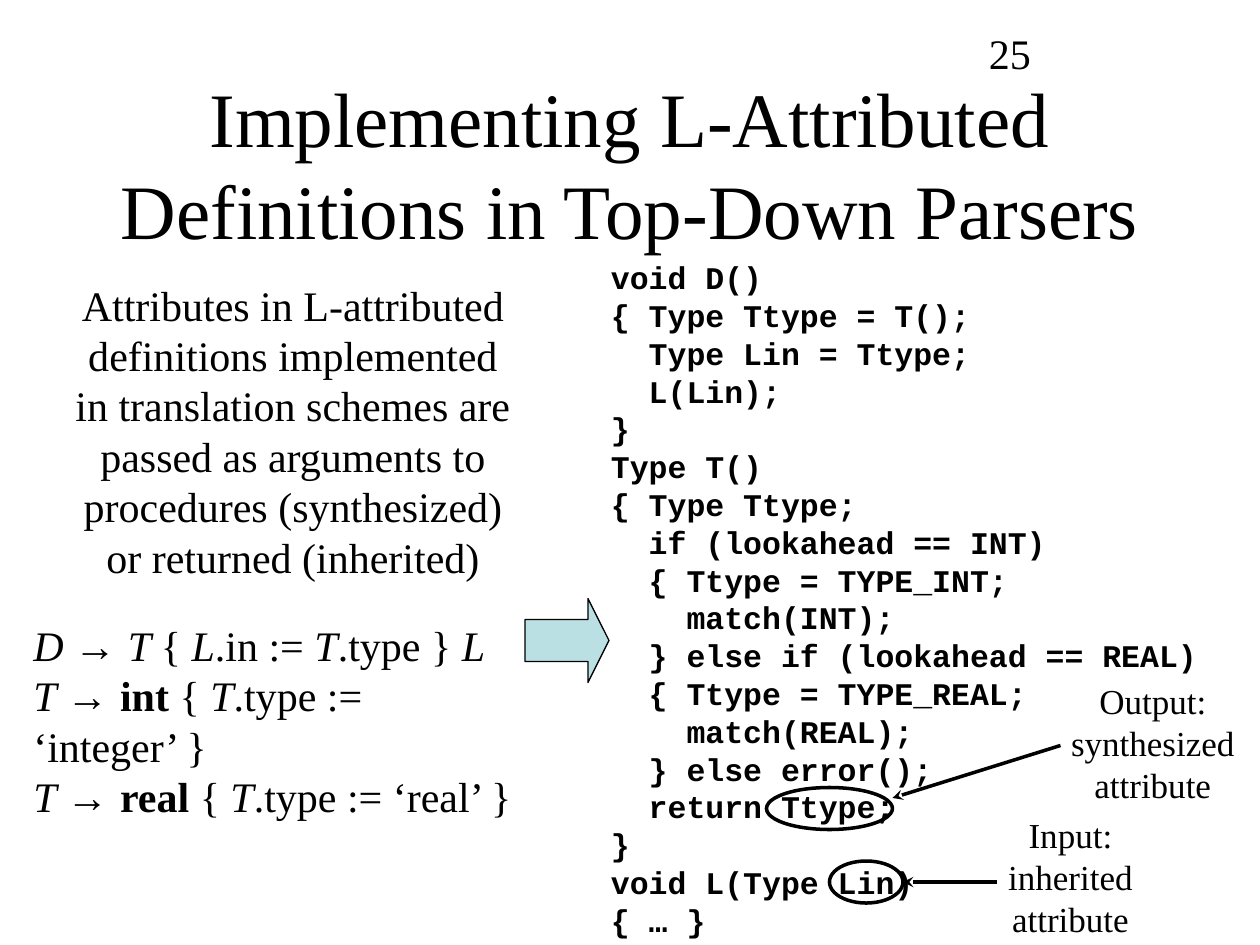
from lxml.etree import SubElement
from pptx import Presentation
from pptx.dml.color import RGBColor
from pptx.enum.shapes import MSO_CONNECTOR, MSO_SHAPE
from pptx.enum.text import MSO_ANCHOR, PP_ALIGN
from pptx.oxml.ns import qn
from pptx.util import Inches, Pt

BLACK = RGBColor(0, 0, 0)
TEAL = RGBColor(0xBB, 0xE0, 0xE3)
SERIF, SANS, MONO = "Times New Roman", "Arial", "Courier New"
CELL = Inches(1) / 12

CLAIM = """Attributes in L-attributed
definitions implemented
in translation schemes are
passed as arguments to
procedures (synthesized)
or returned (inherited)"""

CODE = """void D()
{ Type Ttype = T();
  Type Lin = Ttype;
  L(Lin);
}
Type T()
{ Type Ttype;
  if (lookahead == INT)
  { Ttype = TYPE_INT;
    match(INT);
  } else if (lookahead == REAL)
  { Ttype = TYPE_REAL;
    match(REAL);
  } else error();
  return Ttype;
}
void L(Type Lin)
{ … }"""

ITALIC, BOLD, ARROW = {"italic": True}, {"bold": True}, ("→ ", {"font": SANS})


def rule(kind, value):
    """Return the runs of one rule that sets the type of T."""
    return [("T ", ITALIC), ARROW, (kind, BOLD), (" { ", {}), ("T", ITALIC),
            (f".type := ‘{value}’ }}", {})]


RULES = [
    ("D ", ITALIC), ARROW, ("T ", ITALIC), ("{ ", {}), ("L", ITALIC),
    (".in := ", {}), ("T", ITALIC), (".type } ", {}), ("L\n", ITALIC),
    *rule("int", "integer"), ("\n", {}), *rule("real", "real"),
]


def place(box, x, y, w, h):
    """Return the slide lengths of a part given in cells of its box."""
    left, top = box
    return [round(n * CELL) for n in (left + x, top + y, w, h)]


def style(run, font=SERIF, size=24, bold=False, italic=False):
    """Format one run."""
    run.font.name, run.font.size = font, Pt(size)
    run.font.bold, run.font.italic = bold, italic
    run.font.color.rgb = BLACK


def write(slide, area, text, align=PP_ALIGN.LEFT, anchor=MSO_ANCHOR.TOP,
          wrap=False, **look):
    """Add a text box from a string or a list of styled runs."""
    frame = slide.shapes.add_textbox(*area).text_frame
    frame.word_wrap, frame.vertical_anchor = wrap, anchor
    para = frame.paragraphs[0]
    para.alignment = align
    runs = [(text, {})] if isinstance(text, str) else text
    for words, extra in runs:
        for row, line in enumerate(words.split("\n")):
            if row:
                para.add_line_break()
            if line:
                run = para.add_run()
                run.text = line
                style(run, **{**look, **extra})


def draw(slide, kind, area, width, fill=None):
    """Add an outlined shape, filled or clear."""
    shape = slide.shapes.add_shape(kind, *area)
    shape.shadow.inherit = False
    shape.line.color.rgb, shape.line.width = BLACK, Pt(width)
    if fill is None:
        shape.fill.background()
    else:
        shape.fill.solid()
        shape.fill.fore_color.rgb = fill
    return shape


def point(slide, box, start, end):
    """Add an arrow between two points of a box."""
    ends = place(box, *start, 0, 0)[:2] + place(box, *end, 0, 0)[:2]
    link = slide.shapes.add_connector(MSO_CONNECTOR.STRAIGHT, *ends)
    link.line.color.rgb, link.line.width = BLACK, Pt(2)
    SubElement(link.line._get_or_add_ln(), qn("a:tailEnd"), type="stealth")
    SubElement(link._element.spPr, qn("a:effectLst"))


def header(slide, box):
    """Place the page number and the title."""
    write(slide, place(box, 84, 0, 25, 6), "25", wrap=True)
    write(slide, place(box, 0, 6, 102, 15),
          "Implementing L-Attributed Definitions in Top-Down Parsers",
          align=PP_ALIGN.CENTER, anchor=MSO_ANCHOR.MIDDLE, wrap=True, size=44)


def theory(slide, box):
    """Place the claim, the grammar and the block arrow."""
    write(slide, place(box, 4, 0, 43.8, 30), CLAIM, align=PP_ALIGN.CENTER)
    write(slide, place(box, 0, 32.4, 50.6, 15.6), RULES, wrap=True)
    block = draw(slide, MSO_SHAPE.RIGHT_ARROW, place(box, 48, 31, 8, 8),
                 0.75, TEAL)
    block.adjustments[0], block.adjustments[1] = 0.5, 0.25


def program(slide, box):
    """Place the code with its two marked and labelled names."""
    write(slide, place(box, 0, 0, 58.2, 66), CODE,
          font=MONO, size=18, bold=True)
    marks = [
        ("Input:\ninherited\nattribute", (37.8, 52.9, 14.3, 13.2),
         (22, 58, 7, 4), (38, 60), (29, 60)),
        ("Output:\nsynthesized\nattribute", (43.8, 40.1, 18, 13.2),
         (16, 51, 12, 4), (44, 47), (28, 52)),
    ]
    for label, area, ring, start, end in marks:
        draw(slide, MSO_SHAPE.OVAL, place(box, *ring), 2)
        point(slide, box, start, end)
        write(slide, place(box, *area), label,
              align=PP_ALIGN.CENTER, size=20)


def main():
    """Build and save the slide."""
    deck = Presentation()
    deck.slide_width, deck.slide_height = Inches(10), Inches(7.5)
    slide = deck.slides.add_slide(deck.slide_layouts[6])
    header(slide, (9, 2))
    theory(slide, (2, 26))
    program(slide, (57, 24))
    deck.save("out.pptx")


if __name__ == "__main__":
    main()
